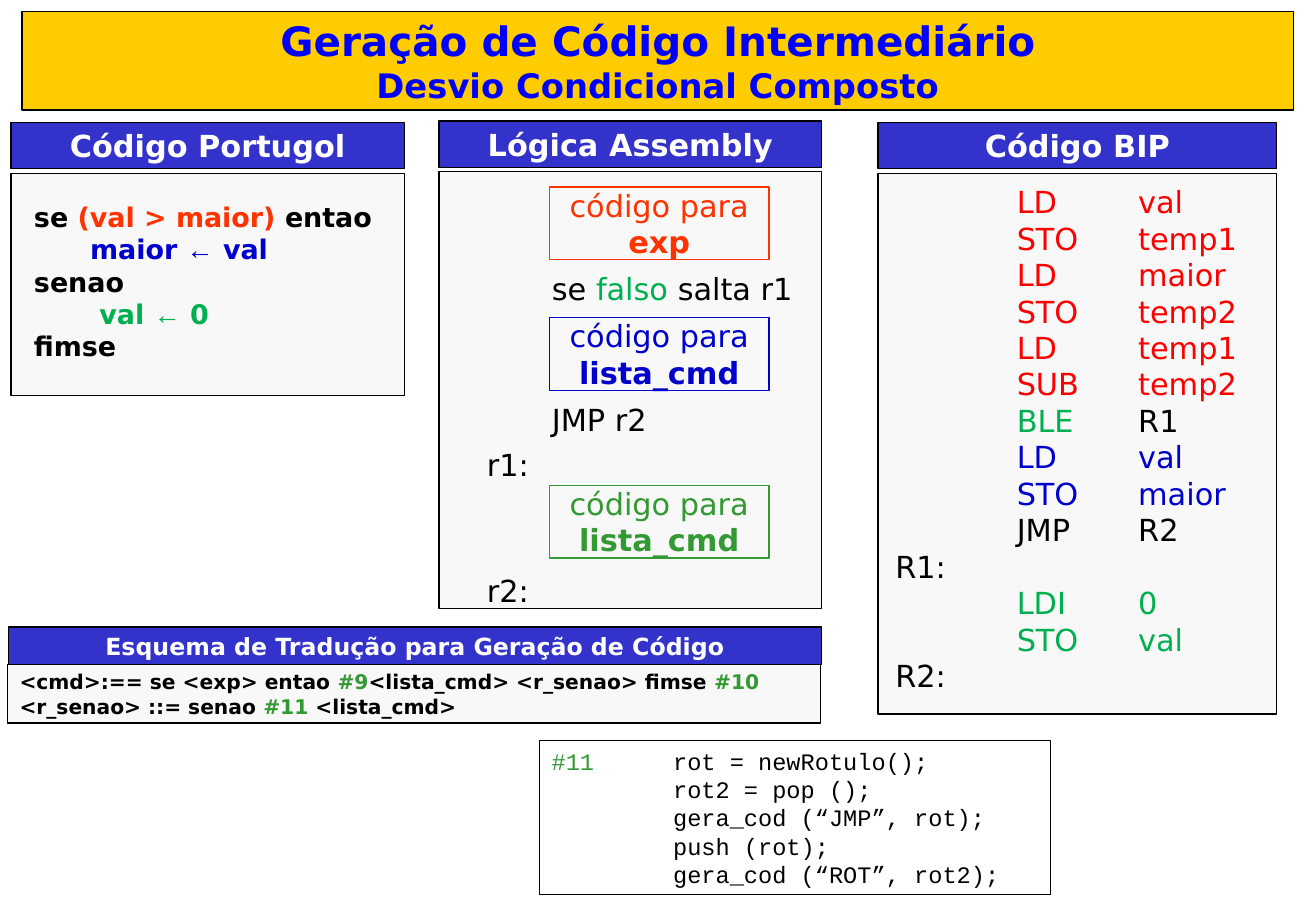
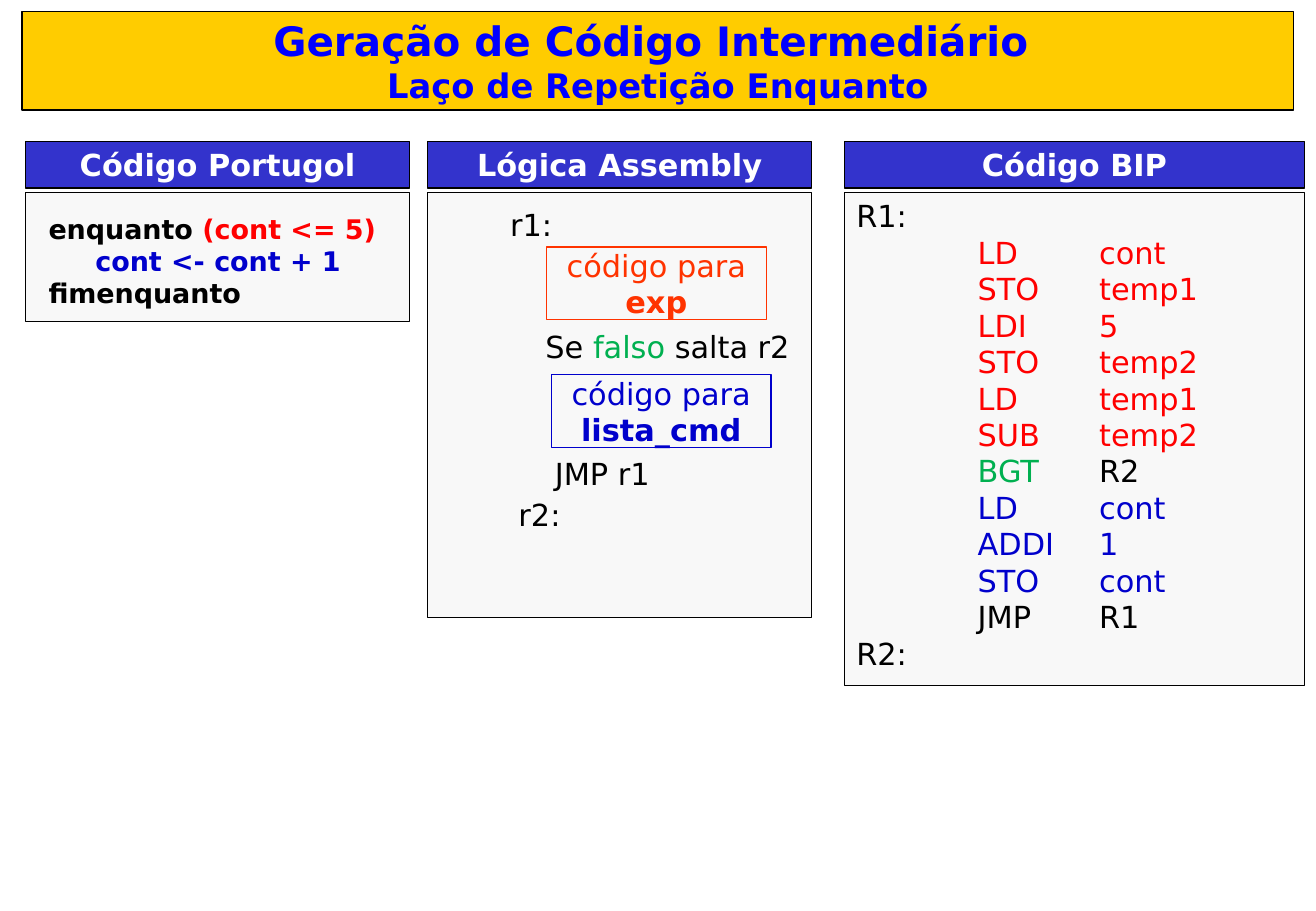
"""Build two slides on intermediate code generation for a compiler course."""
from lxml import etree
from pptx import Presentation
from pptx.dml.color import RGBColor
from pptx.enum.shapes import MSO_SHAPE
from pptx.enum.text import MSO_ANCHOR, MSO_AUTO_SIZE, PP_ALIGN
from pptx.oxml.ns import qn
from pptx.util import Pt

RECT = MSO_SHAPE.RECTANGLE
TOP, MIDDLE = MSO_ANCHOR.TOP, MSO_ANCHOR.MIDDLE
LEFT, CENTER = PP_ALIGN.LEFT, PP_ALIGN.CENTER
FIXED = MSO_AUTO_SIZE.NONE

BLACK = RGBColor(0x00, 0x00, 0x00)
WHITE = RGBColor(0xFF, 0xFF, 0xFF)
PALE = RGBColor(0xF8, 0xF8, 0xF8)
GOLD = RGBColor(0xFF, 0xCC, 0x00)
INDIGO = RGBColor(0x33, 0x33, 0xCC)
BLUE = RGBColor(0x00, 0x00, 0xFF)
NAVY = RGBColor(0x00, 0x00, 0xCC)
RED = RGBColor(0xFF, 0x00, 0x00)
ORANGE = RGBColor(0xFF, 0x33, 0x00)
GREEN = RGBColor(0x00, 0xB0, 0x50)
LEAF = RGBColor(0x33, 0x99, 0x33)

SANS, ARIAL, MONO = "DejaVu Sans", "Arial", "Courier New"
WIDE, HIGH = 780.25, 540
HEAD, STEP, TAB = 27.4, 30.2, 72
CELL = (130.3, 43.2)


def code(color, *rows):
    """Turn 'op arg' rows into tabbed lines of one colour."""
    return [[("\t" + row.replace(" ", "\t"), color)] for row in rows]


def jump(op, label):
    """Return a conditional jump line with its label in black."""
    return [[("\t" + op, GREEN), ("\t" + label, BLACK)]]


def plain(*rows):
    """Return lines of black text."""
    return [[(row, BLACK)] for row in rows]


def test(word, label):
    """Return the line that jumps when the test is false."""
    return [[(word + " ", BLACK), ("falso ", GREEN), ("salta " + label, BLACK)]]


SLIDES = [
    {
        "title": ("Geração de Código Intermediário",
                  "Desvio Condicional Composto"),
        "panels": [
            {"name": "Código Portugol", "at": (6.5, 72.7, 233.3, 131.8),
             "pad": (13.7, 16), "size": 16, "bold": True,
             "dents": {1: 33.3, 3: 38.8},
             "lines": [
                 [("se ", BLACK), ("(val > maior)", ORANGE), (" entao", BLACK)],
                 [("maior ", NAVY), ("←", NAVY, ARIAL), (" val", NAVY)],
                 [("senao", BLACK)],
                 [("val ", GREEN), ("←", GREEN, ARIAL), (" 0", GREEN)],
                 [("fimse", BLACK)]]},
            {"name": "Lógica Assembly", "at": (260.3, 71.7, 226.8, 258.8)},
            {"name": "Código BIP", "at": (520.6, 72.7, 236.2, 320.4),
             "pad": (10.2, 5.8),
             "lines": code(RED, "LD val", "STO temp1", "LD maior",
                           "STO temp2", "LD temp1", "SUB temp2")
             + jump("BLE", "R1") + code(NAVY, "LD val", "STO maior")
             + code(BLACK, "JMP R2") + plain("R1:")
             + code(GREEN, "LDI 0", "STO val") + plain("R2:")},
        ],
        "cells": [(325.7, 110.9, "exp", ORANGE),
                  (325.7, 188.2, "lista_cmd", NAVY),
                  (325.7, 287.6, "lista_cmd", LEAF)],
        "notes": [(325.8, 159.9, test("se", "r1")),
                  (325.8, 237.6, plain("JMP r2")),
                  (287.3, 264.2, plain("r1:")),
                  (287.3, 339.1, plain("r2:"))],
    },
    {
        "title": ("Geração de Código Intermediário ",
                  "Laço de Repetição Enquanto"),
        "panels": [
            {"name": "Código Portugol", "at": (15.1, 84, 227.8, 76.4),
             "pad": (13.7, 11.5), "size": 16, "bold": True,
             "dents": {1: 27.8},
             "lines": [[("enquanto ", BLACK), ("(cont <= 5)", RED)],
                       [("cont <- cont + 1", NAVY)],
                       [("fimenquanto", BLACK)]]},
            {"name": "Lógica Assembly", "at": (253.5, 84, 227.8, 252)},
            {"name": "Código BIP", "at": (500.6, 84, 272.9, 292.3),
             "lines": plain("R1:")
             + code(RED, "LD cont", "STO temp1", "LDI 5",
                    "STO temp2", "LD temp1", "SUB temp2")
             + jump("BGT", "R2") + code(NAVY, "LD cont", "ADDI 1", "STO cont")
             + code(BLACK, "JMP R1") + plain("R2:")},
        ],
        "cells": [(324, 146.4, "exp", ORANGE),
                  (326.9, 222.1, "lista_cmd", NAVY)],
        "notes": [(322, 194.7, test("Se", "r2")),
                  (301, 122.4, plain("r1:")),
                  (327.6, 270, plain("JMP r1")),
                  (306, 294.2, plain("r2:"))],
    },
]

SCHEME = [
    [("<cmd>:== se <exp> entao ", BLACK), ("#9", LEAF),
     ("<lista_cmd> <r_senao> fimse ", BLACK), ("#10", LEAF)],
    [("<r_senao> ::= senao ", BLACK), ("#11", LEAF), (" <lista_cmd>", BLACK)],
]
ACTION = [[("#11", LEAF), ("\trot = newRotulo();", BLACK)]] + plain(
    "\trot2 = pop ();", "\tgera_cod (“JMP”, rot);",
    "\tpush (rot);", "\tgera_cod (“ROT”, rot2);")


def assign(item, values):
    """Set each named attribute of an item."""
    for name, value in values.items():
        setattr(item, name, value)


def place(shape, at):
    """Move and size a shape, in points."""
    assign(shape, dict(zip(("left", "top", "width", "height"), map(Pt, at))))


def paint(shape, fill, line):
    """Give a shape its fill and outline."""
    if fill is None:
        shape.fill.background()
    else:
        shape.fill.solid()
        shape.fill.fore_color.rgb = fill
    shape.line.color.rgb = line
    shape.line.width = Pt(0.75)


def write(shape, lines, size=18, bold=False, font=SANS, align=LEFT,
          anchor=TOP, pad=(7.2, 2.9), dents=None):
    """Fill a shape with lines made of (text, colour, font) runs."""
    frame = shape.text_frame
    side, edge = map(Pt, pad)
    assign(frame, {"word_wrap": True, "auto_size": FIXED,
                   "vertical_anchor": anchor, "margin_left": side,
                   "margin_right": min(side, Pt(7.2)),
                   "margin_top": edge, "margin_bottom": edge})
    for row, line in enumerate(lines):
        para = frame.paragraphs[0] if row == 0 else frame.add_paragraph()
        para.alignment = align
        props = para._p.get_or_add_pPr()
        if dents and row in dents:
            props.set("marL", str(Pt(dents[row])))
        if any("\t" in run[0] for run in line):
            tabs = etree.SubElement(props, qn("a:tabLst"))
            for stop in (1, 2, 3):
                etree.SubElement(tabs, qn("a:tab"),
                                 pos=str(Pt(TAB * stop)), algn="l")
        for text, color, *face in line:
            run = para.add_run()
            run.text = text
            assign(run.font, {"size": Pt(size), "bold": bold,
                              "name": face[0] if face else font})
            run.font.color.rgb = color


def box(slide, at, lines=(), fill=None, line=BLACK, **style):
    """Add an outlined rectangle with text."""
    shape = slide.shapes.add_shape(RECT, *map(Pt, at))
    shape.shadow.inherit = False
    paint(shape, fill, line)
    write(shape, lines, **style)
    return shape


def header(slide, at, name, size=18):
    """Add a panel heading."""
    box(slide, at, [[(name, WHITE)]], INDIGO, size=size, bold=True,
        align=CENTER, anchor=MIDDLE)


def banner(slide, texts):
    """Format the title as the gold band."""
    title = slide.shapes.title
    place(title, (13, 6.7, 754.1, 58.5))
    paint(title, GOLD, BLACK)
    write(title, [[(text, BLUE)] for text in texts], size=24, bold=True,
          align=CENTER)
    title.text_frame.paragraphs[1].runs[0].font.size = Pt(20)


def panel(slide, name, at, lines=(), **style):
    """Add a heading with its body below."""
    left, top, width, height = at
    header(slide, (left, top, width, HEAD), name)
    box(slide, (left, top + STEP, width, height), lines, PALE, **style)


def build(deck, data):
    """Add one slide from its data."""
    slide = deck.slides.add_slide(deck.slide_layouts[5])
    banner(slide, data["title"])
    for spot in data["panels"]:
        panel(slide, **spot)
    for left, top, word, color in data["cells"]:
        shape = box(slide, (left, top, *CELL),
                    [[("código para ", color), (word, color)]],
                    line=color, align=CENTER, pad=(1.4, 0))
        shape.text_frame.paragraphs[0].runs[1].font.bold = True
    for left, top, lines in data["notes"]:
        note = slide.shapes.add_textbox(*map(Pt, (left, top, 169.2, 21.6)))
        write(note, lines, pad=(1.4, 0))
    return slide


def main():
    """Build and save the deck."""
    deck = Presentation()
    deck.slide_width, deck.slide_height = Pt(WIDE), Pt(HIGH)
    first, _ = [build(deck, data) for data in SLIDES]
    header(first, (5.2, 371.7, 481.9, 22.3),
           "Esquema de Tradução para Geração de Código", 14)
    box(first, (4.5, 394, 482, 34.6), SCHEME, PALE, size=12, bold=True)
    box(first, (320, 439, 302.8, 91.4), ACTION, size=14, font=MONO,
        pad=(7.2, 3.6))
    deck.save("out.pptx")


if __name__ == "__main__":
    main()
